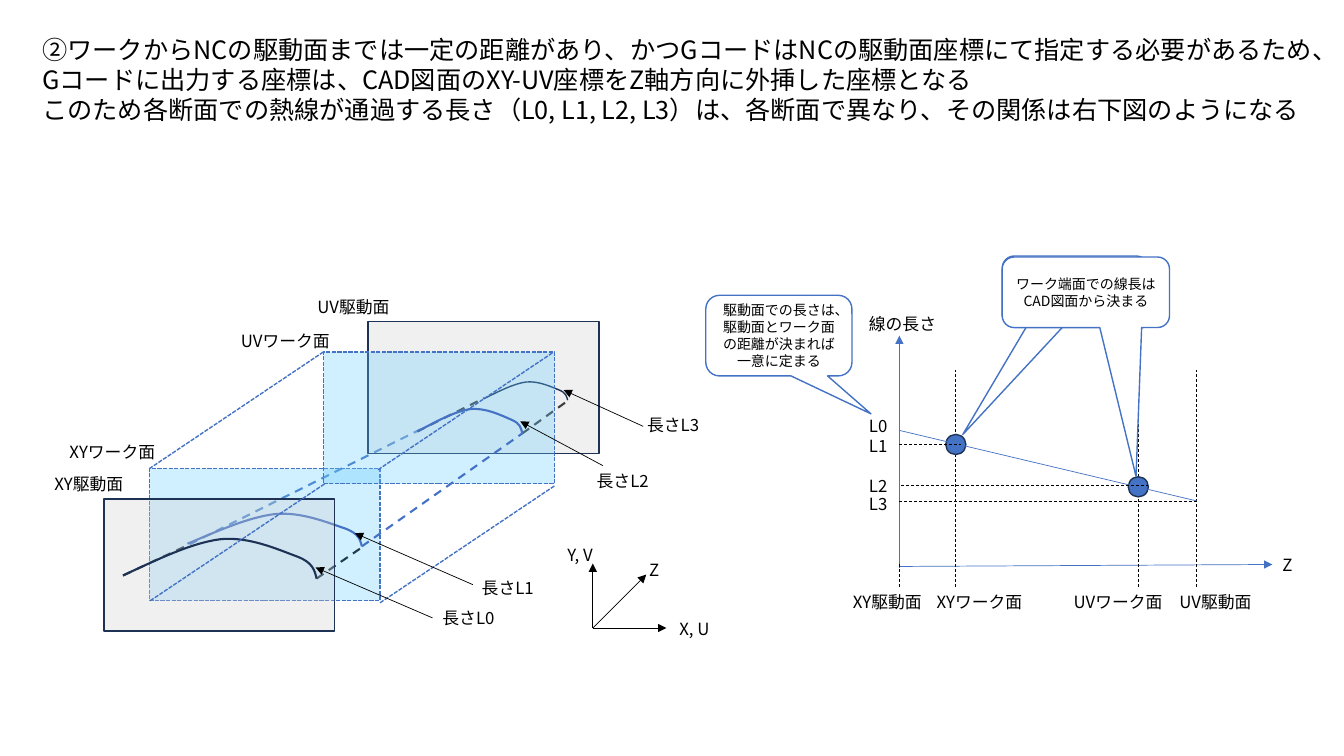
from lxml.etree import SubElement
from pptx import Presentation
from pptx.dml.color import RGBColor
from pptx.enum.dml import MSO_LINE
from pptx.enum.shapes import MSO_CONNECTOR, MSO_SHAPE
from pptx.enum.text import MSO_ANCHOR, MSO_AUTO_SIZE, PP_ALIGN
from pptx.oxml.ns import qn
from pptx.util import Inches, Pt

FONT = "Noto Sans CJK JP"
COLORS = {"black": "000000", "white": "FFFFFF", "blue": "4472C4", "navy": "1E3256",
          "work": "66CCFF", "drive": "D0CECE"}
HEADING = [
    "②ワークからNCの駆動面までは一定の距離があり、かつGコードはNCの駆動面座標にて指定する必要があるため、",
    "Gコードに出力する座標は、CAD図面のXY-UV座標をZ軸方向に外挿した座標となる",
    "このため各断面での熱線が通過する長さ（L0, L1, L2, L3）は、各断面で異なり、その関係は右下図のようになる",
]
WIRE_START = (0, 0.92)
WIRE_CURVES = [
    ((0.18, 0.51), (0.35, 0.1), (0.5, 0)),
    ((0.65, -0.08), (0.8, 0.26), (0.9, 0.44)),
    ((0.98, 0.59), (0.99, 0.79), (1, 1)),
]
PLANE_SIZE = (2.29, 1.31)


def rgb(name):
    return RGBColor.from_string(COLORS[name])


def style_line(line, color, width, dash=None):
    line.color.rgb = rgb(color)
    line.width = Pt(width)
    if dash:
        line.dash_style = dash


def add_run(p, text, size):
    r = p.add_run()
    r.text = text
    r.font.size = Pt(size)
    r.font.name = FONT
    r.font.color.rgb = rgb("black")
    SubElement(r.font._element, qn("a:ea"), typeface=FONT)


def add_heading(slide):
    sp = slide.shapes.title
    sp.left, sp.top, sp.width, sp.height = map(Inches, (0.32, 0.29, 12.91, 1.01))
    tf = sp.text_frame
    tf.auto_size = MSO_AUTO_SIZE.NONE
    tf.vertical_anchor = MSO_ANCHOR.TOP
    for i, text in enumerate(HEADING):
        p = tf.add_paragraph() if i else tf.paragraphs[0]
        p.alignment = PP_ALIGN.LEFT
        add_run(p, text, 18)


def add_label(shapes, text, x, y, width, wrap=True):
    sp = shapes.add_textbox(Inches(x), Inches(y), Inches(width), Inches(0.3))
    sp.text_frame.word_wrap = wrap
    add_run(sp.text_frame.paragraphs[0], text, 12)


def add_line(shapes, start, end, color="black", width=0.5, dash=None, arrow=False):
    line = shapes.add_connector(MSO_CONNECTOR.STRAIGHT, *map(Inches, start + end))
    style_line(line.line, color, width, dash)
    if arrow:
        SubElement(line.line._get_or_add_ln(), qn("a:tailEnd"), type="triangle")
    SubElement(line._element.spPr, qn("a:effectLst"))


def add_box(shapes, kind, at, fill, line, dash=None, opacity=100):
    sp = shapes.add_shape(kind, *map(Inches, at))
    sp.shadow.inherit = False
    sp.fill.solid()
    sp.fill.fore_color.rgb = rgb(fill)
    if opacity < 100:
        color = sp._element.spPr.find(qn("a:solidFill"))[0]
        SubElement(color, qn("a:alpha"), val=str(opacity * 1000))
    style_line(sp.line, line, 1, dash)
    return sp


def add_work_plane(shapes, x, y):
    add_box(shapes, MSO_SHAPE.RECTANGLE, (x, y) + PLANE_SIZE, "work", "blue",
            MSO_LINE.SQUARE_DOT, 30)


def add_drive_plane(shapes, x, y):
    add_box(shapes, MSO_SHAPE.RECTANGLE, (x, y) + PLANE_SIZE, "drive", "navy", opacity=30)


def add_wire_curve(shapes, x, y, width, height, color, weight=1.5):
    anchors = [WIRE_START] + [curve[-1] for curve in WIRE_CURVES]
    points = [(Inches(x + u * width), Inches(y + v * height)) for u, v in anchors]
    builder = shapes.build_freeform(*points[0])
    builder.add_line_segments(points[1:], close=False)
    sp = builder.convert_to_shape()
    for segment, curve in zip(list(sp._element.iter(qn("a:lnTo"))), WIRE_CURVES):
        bezier = SubElement(segment.getparent(), qn("a:cubicBezTo"))
        for u, v in curve:
            SubElement(bezier, qn("a:pt"), x=str(Inches(u * width)), y=str(Inches(v * height)))
        segment.getparent().replace(segment, bezier)
    sp.shadow.inherit = False
    sp.fill.background()
    style_line(sp.line, color, weight)


def add_callout(shapes, at, adjustments, text=None):
    sp = add_box(shapes, MSO_SHAPE.ROUNDED_RECTANGULAR_CALLOUT, at, "white", "blue")
    for i, value in enumerate(adjustments):
        sp.adjustments[i] = value
    if text:
        tf = sp.text_frame
        tf.word_wrap = True
        tf.vertical_anchor = MSO_ANCHOR.MIDDLE
        tf.paragraphs[0].alignment = PP_ALIGN.CENTER
        add_run(tf.paragraphs[0], text, 10)


def draw_planes(shapes):
    add_line(shapes, (1.88, 5.4), (4.17, 4.26), "blue", 1.5, MSO_LINE.DASH)
    for start, end in [((1.22, 5.71), (1.88, 5.4)), ((3.14, 5.74), (3.59, 5.43)),
                       ((5.18, 4.3), (5.64, 3.97)), ((4.14, 4.28), (4.8, 3.95))]:
        add_line(shapes, start, end, "black", 1.5, MSO_LINE.DASH)
    add_work_plane(shapes, 1.48, 4.65)
    add_wire_curve(shapes, 1.86, 5.1, 1.73, 0.32, "blue")
    add_drive_plane(shapes, 1.03, 4.95)
    add_wire_curve(shapes, 1.22, 5.35, 1.92, 0.39, "navy")
    add_drive_plane(shapes, 3.65, 3.19)
    add_wire_curve(shapes, 4.8, 3.79, 0.83, 0.18, "navy", 1)
    add_work_plane(shapes, 3.21, 3.49)
    add_wire_curve(shapes, 4.14, 4.06, 1.04, 0.24, "blue")
    add_line(shapes, (3.59, 5.42), (5.18, 4.3), "blue", 1.5, MSO_LINE.DASH)
    for x, y in [(1.48, 4.65), (3.75, 4.66), (3.77, 5.98), (1.49, 5.96)]:
        add_line(shapes, (x, y), (x + 1.73, y - 1.16), "blue", 1, MSO_LINE.SQUARE_DOT)
    add_label(shapes, "XY駆動面", 0.44, 4.65, 0.94, False)
    add_label(shapes, "XYワーク面", 0.59, 4.33, 1.09, False)
    add_label(shapes, "UVワーク面", 2.29, 3.23, 1.11)
    add_label(shapes, "UV駆動面", 3.05, 2.89, 0.94)
    for text, x, y, start, end in [
        ("長さL0", 4.29, 5.98, (4.29, 6.13), (3.13, 5.63)),
        ("長さL1", 4.68, 5.68, (4.69, 5.8), (3.52, 5.29)),
        ("長さL2", 5.82, 4.62, (5.98, 4.62), (5.16, 4.18)),
        ("長さL3", 6.32, 4.07, (6.38, 4.23), (5.59, 3.87)),
    ]:
        add_label(shapes, text, x, y, 1.3)
        add_line(shapes, start, end, arrow=True)
    for text, x, y, width, tip in [("Z", 6.34, 5.5, 0.31, (6.41, 5.7)),
                                   ("Y, V", 5.53, 5.36, 0.51, (5.88, 5.59)),
                                   ("X, U", 6.64, 6.09, 0.53, (6.61, 6.23))]:
        add_line(shapes, (5.88, 6.23), tip, arrow=True)
        add_label(shapes, text, x, y, width, False)


def draw_length_graph(shapes):
    add_line(shapes, (8.92, 5.62), (12.62, 5.6), "blue", arrow=True)
    add_line(shapes, (8.92, 5.64), (8.92, 3.33), "blue", arrow=True)
    add_label(shapes, "Z", 12.62, 5.45, 0.31, False)
    add_label(shapes, "線の長さ", 8.52, 3.06, 1.3)
    for text, x, width, wrap, line_x, line_top in [
        ("XY駆動面", 8.36, 0.94, False, 8.92, 5.6),
        ("XYワーク面", 9.19, 1.09, False, 9.48, 3.67),
        ("UVワーク面", 10.55, 1.11, True, 11.29, 3.67),
        ("UV駆動面", 11.6, 0.94, True, 11.87, 3.67),
    ]:
        add_line(shapes, (line_x, 5.82), (line_x, line_top), dash=MSO_LINE.DASH)
        add_label(shapes, text, x, 5.82, width, wrap)
    for x, y in [(9.38, 4.31), (11.19, 4.73)]:
        add_box(shapes, MSO_SHAPE.OVAL, (x, y, 0.2, 0.2), "blue", "navy")
    add_line(shapes, (8.92, 4.27), (11.87, 4.97), "blue")
    for left, right, y in [(8.92, 9.53, 4.41), (8.94, 11.39, 4.82), (8.92, 11.87, 4.97)]:
        add_line(shapes, (left, y), (right, y), dash=MSO_LINE.DASH)
    for i, y in enumerate((4.08, 4.27, 4.67, 4.85)):
        add_label(shapes, f"L{i}", 8.52, y, 0.53)
    add_callout(shapes, (9.94, 2.54, 1.45, 0.7), (-0.77, 2.03, 0.17))
    add_callout(shapes, (9.94, 2.55, 1.66, 0.7), (0.3, 2.61, 0.17),
                "ワーク端面での線長はCAD図面から決まる")
    add_callout(shapes, (7, 2.93, 1.45, 0.8), (0.63, 0.97, 0.17),
                "駆動面での長さは、駆動面とワーク面の距離が決まれば一意に定まる")


def main():
    prs = Presentation()
    prs.slide_width, prs.slide_height = Inches(13.33), Inches(7.5)
    slide = prs.slides.add_slide(prs.slide_layouts[5])
    draw_planes(slide.shapes.add_group_shape().shapes)
    add_heading(slide)
    draw_length_graph(slide.shapes.add_group_shape().shapes)
    prs.save("out.pptx")


if __name__ == "__main__":
    main()
